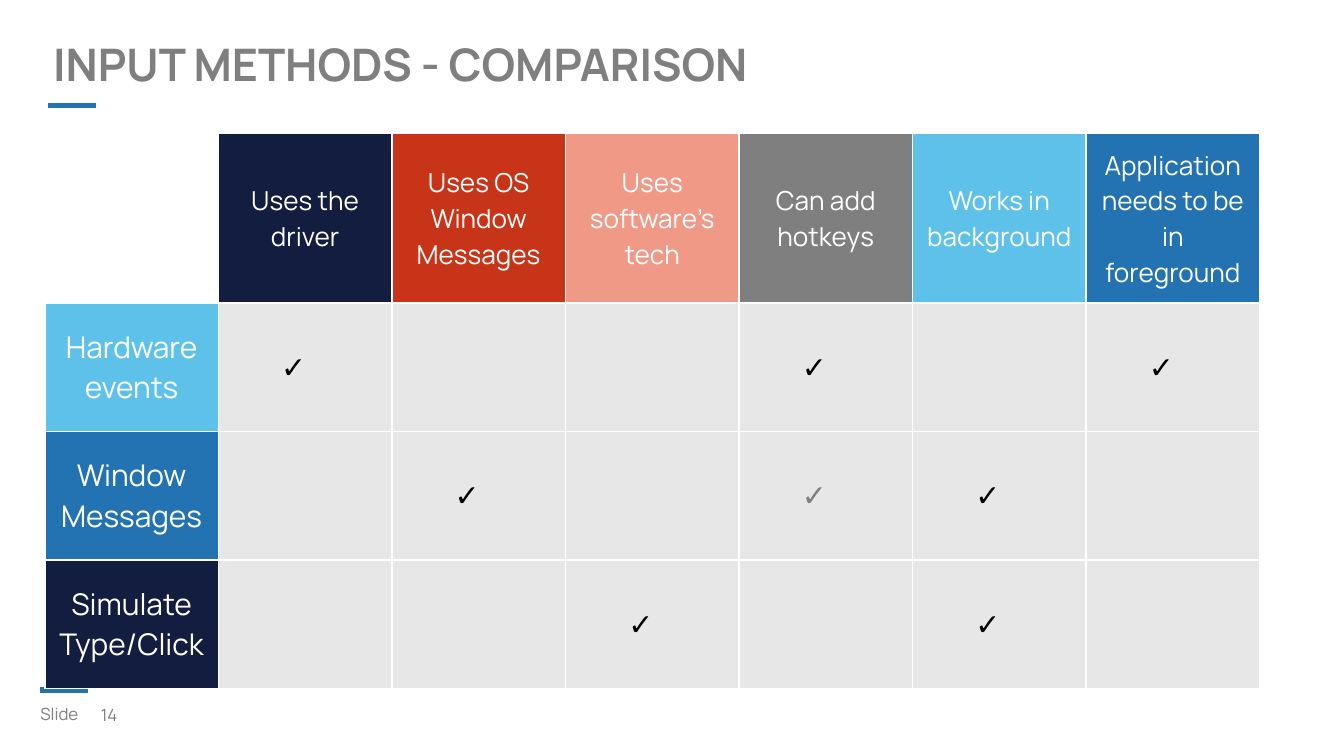
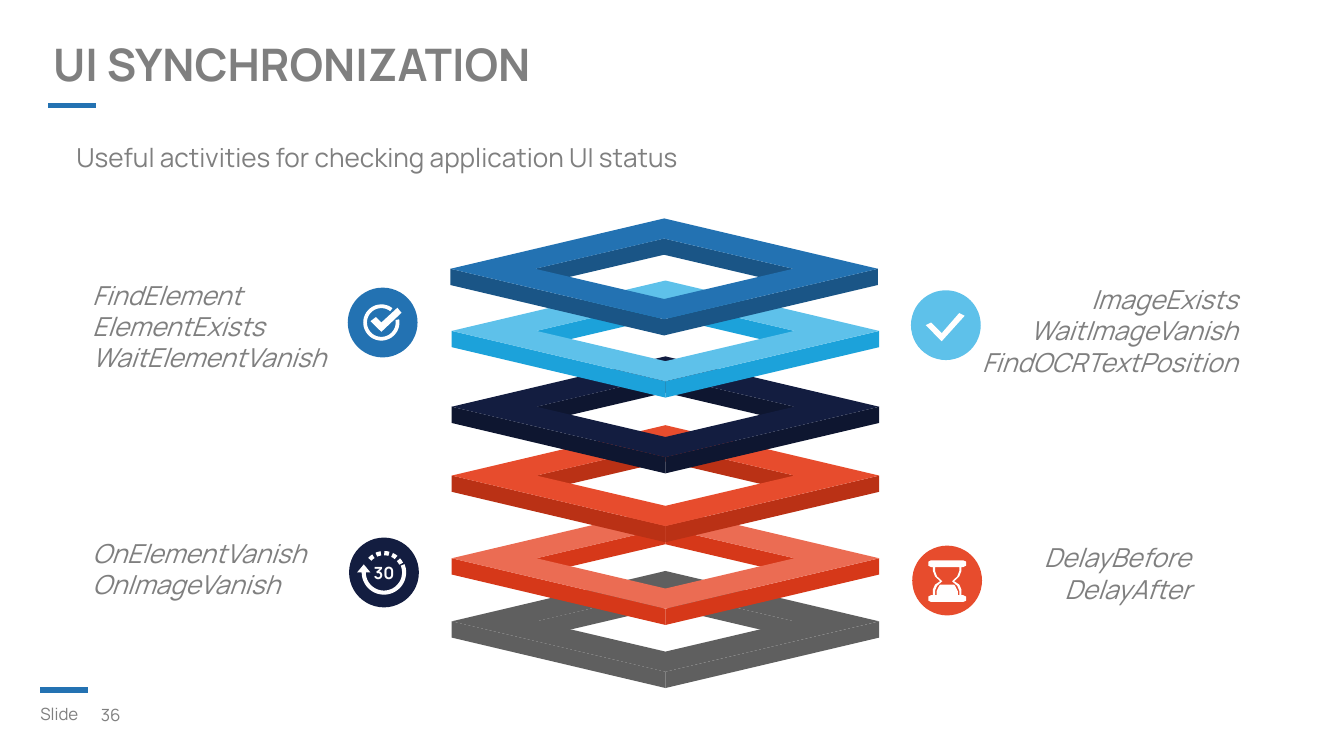
"""Build two slides: an input method table and a UI synchronization diagram."""
from math import cos, radians, sin

from lxml import etree
from pptx import Presentation
from pptx.dml.color import RGBColor
from pptx.enum.shapes import MSO_CONNECTOR, MSO_SHAPE
from pptx.enum.text import MSO_ANCHOR, PP_ALIGN
from pptx.oxml.ns import qn
from pptx.util import Pt

LEFT, CENTER, RIGHT = PP_ALIGN.LEFT, PP_ALIGN.CENTER, PP_ALIGN.RIGHT
TOP, MIDDLE = MSO_ANCHOR.TOP, MSO_ANCHOR.MIDDLE
STRAIGHT, OVAL = MSO_CONNECTOR.STRAIGHT, MSO_SHAPE.OVAL

COLORS = {
    "white": "FFFFFF", "icon": "FFFEFE", "black": "000000", "gray": "7F7F7F",
    "cell": "E7E7E7", "blue": "2372B2", "blue_dark": "1A5586",
    "sky": "5EC1EA", "sky_dark": "1CA2DA", "navy": "131D40", "navy_dark": "0E1630",
    "red": "C73417", "salmon": "F19987", "orange": "E74C2D", "orange_dark": "BA3115",
    "coral": "EB6C53", "coral_dark": "D63819", "stone": "5F5F5F",
}
FONT = "Manrope"
TITLE = {"size": Pt(24), "bold": True}
FOOTER = {"size": Pt(9)}
BODY = {"size": Pt(14)}
ACTIVITY = {"size": Pt(14), "italic": True}
ROW_HEAD = {"size": Pt(16)}
BADGE = {"size": Pt(9), "bold": True}

HEADERS = [
    (["Uses the driver"], "navy"),
    (["Uses OS Window", "Messages"], "red"),
    (["Uses software’s tech"], "salmon"),
    (["Can add hotkeys"], "gray"),
    (["Works in background"], "sky"),
    (["Application needs to be in foreground"], "blue"),
]
METHODS = [
    ("Hardware events", "sky", {1: "black", 4: "black", 6: "black"}),
    ("Window Messages", "blue", {2: "black", 4: "gray", 5: "black"}),
    ("Simulate Type/Click", "navy", {3: "black", 5: "black"}),
]
LAYERS = [
    (356.5, 332.9, "stone", "stone"),
    (356.5, 299.1, "coral", "coral_dark"),
    (356.5, 254.8, "orange", "orange_dark"),
    (356.5, 217.9, "navy", "navy_dark"),
    (356.5, 177.3, "sky", "sky_dark"),
    (355.8, 144, "blue", "blue_dark"),
]
CIRCLE_SIZE = 37.4
TARGET_TICK = [(10.1, -5.2), (-0.7, 5), (-6.5, -0.7), (-3.6, -2.9), (-0.7, 0), (7.9, -7.9)]
TICK = [(10.1, -5), (7.2, -6.5), (-2.2, 4.3), (-7.9, -1.4), (-10.8, 0), (-2.2, 8.6)]
ARROWHEAD = [(-14.4, 0), (-10.8, -4.3), (-7.2, 0)]
GLASS_OUTER = [
    (8.6, -10.8), (10.1, -10.1), (10.1, -7.9), (8.6, -7.2), (7.6, -7.2), (7.6, -5),
    (6.5, -2.2), (3.8, 0.4), (6.5, 2.2), (7.6, 4.7), (7.6, 7.9), (8.6, 7.9),
    (10.1, 8.6), (10.1, 10.8), (8.6, 11.5),
]
GLASS_INNER = [
    (6.5, -7.2), (6.5, -5), (5.4, -2.2), (2.6, 0.4), (5.4, 2.9), (6.5, 5.4),
    (6.5, 7.9), (5.7, 7.9), (5.7, 5.8), (4.3, 2.9), (3.6, 2.2),
]


def rgb(name):
    """Return the named colour."""
    return RGBColor.from_string(COLORS[name])


def set_attrs(target, values):
    """Set each named attribute on the target."""
    for name, value in values.items():
        setattr(target, name, value)


def set_frame(tf, inset=(7.2, 7.2), anchor=TOP, wrap=True):
    """Set the insets, anchor and wrap of a text frame or cell."""
    x, y = (Pt(value) for value in inset)
    set_attrs(tf, {"margin_left": x, "margin_right": x, "margin_top": y,
                   "margin_bottom": y, "vertical_anchor": anchor, "word_wrap": wrap})


def write(tf, lines, fmt, color="gray", align=LEFT, spacing=1.0):
    """Fill a text frame with one paragraph a line."""
    for i, line in enumerate(lines):
        p = tf.paragraphs[0] if i == 0 else tf.add_paragraph()
        set_attrs(p, {"alignment": align, "line_spacing": spacing})
        r = p.add_run()
        r.text = line
        set_attrs(r.font, {"name": FONT, **fmt})
        r.font.color.rgb = rgb(color)


def indent(paragraphs, margin=8.64):
    """Indent the paragraphs from the left."""
    for p in paragraphs:
        p._p.get_or_add_pPr().set("marL", str(Pt(margin)))


def add_text(s, box, lines, fmt, inset=(7.2, 3.6), anchor=TOP, **style):
    """Add a text box and return its text frame."""
    tf = s.shapes.add_textbox(*map(Pt, box)).text_frame
    set_frame(tf, inset, anchor)
    write(tf, lines, fmt, **style)
    return tf


def add_accent(s, x, y):
    """Add a short blue line."""
    line = s.shapes.add_connector(STRAIGHT, Pt(x), Pt(y), Pt(x + 25.6), Pt(y))
    line.line.color.rgb = rgb("blue")
    line.line.width = Pt(3)
    etree.SubElement(line._element.spPr, qn("a:effectLst"))


def add_slide(prs, title, number):
    """Add a slide with its title, accents and footer."""
    s = prs.slides.add_slide(prs.slide_layouts[5])
    add_accent(s, 21.6, 369.7)
    add_accent(s, 25.9, 56.6)
    add_text(s, (47, 373, 38.2, 19.4), [str(number)], FOOTER, anchor=MIDDLE)
    add_text(s, (16.6, 374.1, 32.4, 16.6), ["Slide"], FOOTER, inset=(5, 2.9))
    sp = s.shapes.title
    set_attrs(sp, {"left": Pt(21.3), "top": Pt(19.4), "width": Pt(560.2), "height": Pt(29.5)})
    set_frame(sp.text_frame)
    write(sp.text_frame, [title], TITLE, spacing=0.75)
    return s


def paint(sp, color):
    """Give a shape a flat fill without line or shadow."""
    sp.shadow.inherit = False
    sp.fill.solid()
    sp.fill.fore_color.rgb = rgb(color)
    sp.line.fill.background()


def add_outline(shapes, contours, color, origin=(0, 0)):
    """Add one filled outline made of closed contours."""
    contours = [[(Pt(x + origin[0]), Pt(y + origin[1])) for x, y in c] for c in contours]
    builder = shapes.build_freeform(*contours[0][0])
    for i, contour in enumerate(contours):
        if i:
            builder.move_to(*contour[0])
        builder.add_line_segments(contour[1:], close=True)
    paint(builder.convert_to_shape(), color)


def arc_band(start, end, outer, inner, steps=40, dx=0):
    """Return the contour of a ring sector, angles in degrees."""
    angles = [radians(start + (end - start) * i / steps) for i in range(steps + 1)]
    return ([(dx + outer * cos(a), outer * sin(a)) for a in angles]
            + [(dx + inner * cos(a), inner * sin(a)) for a in reversed(angles)])


def mirrored(half):
    """Close a right-hand half outline with its left-hand mirror."""
    return half + [(-x, y) for x, y in reversed(half)]


def add_layer(s, cx, cy, top, side):
    """Add one square frame of the stack."""
    wide, narrow, deep, shallow, thick = 114.5, 69.1, 27, 16.2, 8.7

    def wall(x1, y1, x2, y2):
        return [(x1, y1), (x1, y1 + thick), (x2, y2 + thick), (x2, y2)]

    def diamond(w, h):
        return [(0, -h), (w, 0), (0, h), (-w, 0)]

    faces = [
        ([wall(0, -shallow, -narrow, 0)], side),
        ([wall(narrow, 0, 0, -shallow), wall(-wide, 0, 0, deep)], side),
        ([wall(wide, 0, 0, deep)], side),
        ([diamond(wide, deep), diamond(narrow, shallow)[::-1]], top),
    ]
    shapes = s.shapes.add_group_shape().shapes
    for contours, color in faces:
        add_outline(shapes, contours, color, (cx, cy))


def add_icon(s, cx, cy, color, contours, label=None):
    """Add a round badge with a white symbol."""
    half = CIRCLE_SIZE / 2
    sp = s.shapes.add_shape(OVAL, Pt(cx - half), Pt(cy - half), Pt(CIRCLE_SIZE), Pt(CIRCLE_SIZE))
    paint(sp, color)
    if label:
        set_frame(sp.text_frame, (0, 0), MIDDLE, wrap=False)
        write(sp.text_frame, [label], BADGE, "icon", CENTER)
    add_outline(s.shapes, contours, "icon", (cx, cy))


def format_cell(cell, fill, lines=(), fmt=BODY, color="white", anchor=MIDDLE):
    """Border, fill and write one table cell."""
    tc_pr = cell._tc.get_or_add_tcPr()
    for side in "LRTB":
        ln = etree.SubElement(tc_pr, qn(f"a:ln{side}"), w=str(Pt(1)))
        solid = etree.SubElement(ln, qn("a:solidFill"))
        etree.SubElement(solid, qn("a:srgbClr"), val=COLORS["white"])
    cell.fill.solid()
    cell.fill.fore_color.rgb = rgb(fill)
    set_frame(cell, anchor=anchor)
    write(cell.text_frame, lines, fmt, color, CENTER)


def add_check(cell, color):
    """Mark a cell with a check bullet."""
    p = cell.text_frame.paragraphs[0]
    p_pr = p._p.get_or_add_pPr()
    set_values = {"marL": Pt(22.5), "indent": -Pt(22.5)}
    for name, value in set_values.items():
        p_pr.set(name, str(value))
    bullet_color = etree.SubElement(p_pr, qn("a:buClr"))
    etree.SubElement(bullet_color, qn("a:srgbClr"), val=COLORS[color])
    etree.SubElement(p_pr, qn("a:buFont"), typeface=FONT)
    etree.SubElement(p_pr, qn("a:buChar"), char="✓")
    write(cell.text_frame, [" "], ROW_HEAD, color, CENTER)


def add_method_table(s):
    """Add the table that compares input methods."""
    frame = s.shapes.add_table(4, 7, Pt(24), Pt(71.6), Pt(651), Pt(297.3))
    table = frame.table
    set_attrs(table, {"first_row": False, "horz_banding": False})
    for column in table.columns:
        column.width = Pt(93)
    for row, height in zip(table.rows, (90.6, 68.9, 68.9, 68.9)):
        row.height = Pt(height)
    format_cell(table.cell(0, 0), "white")
    for col, (lines, fill) in enumerate(HEADERS, 1):
        anchor = TOP if col == len(HEADERS) else MIDDLE
        format_cell(table.cell(0, col), fill, lines, anchor=anchor)
    for row, (method, fill, marks) in enumerate(METHODS, 1):
        format_cell(table.cell(row, 0), fill, [method], ROW_HEAD)
        for col in range(1, 7):
            format_cell(table.cell(row, col), "cell")
        for col, color in marks.items():
            add_check(table.cell(row, col), color)


def build_comparison(prs):
    """Build the input method slide."""
    add_method_table(add_slide(prs, "INPUT METHODS - COMPARISON", 14))


def build_synchronization(prs):
    """Build the UI synchronization slide."""
    s = add_slide(prs, "UI SYNCHRONIZATION", 36)
    tf = add_text(s, (33.8, 68.4, 365.8, 291.6),
                  ["Useful activities for checking application UI status",
                   "FindElement", "ElementExists", "WaitElementVanish",
                   "OnElementVanish", "OnImageVanish"],
                  ACTIVITY, inset=(7.2, 7.2))
    intro, *activities = tf.paragraphs
    intro.runs[0].font.italic = False
    indent(activities)
    activities[0].space_before = Pt(57)
    activities[3].space_before = Pt(88)

    for layer in LAYERS:
        add_layer(s, *layer)

    for box, lines in [
        ((499.7, 148.3, 170.6, 58.3), ["ImageExists", "WaitImageVanish", "FindOCRTextPosition"]),
        ((524.9, 286.6, 120.2, 41), ["DelayBefore", "DelayAfter"]),
    ]:
        tf = add_text(s, box, lines, ACTIVITY, align=RIGHT)
        indent(tf.paragraphs)

    dashes = [arc_band(a, a + 14, 11.5, 9.2, 4) for a in range(-137, -30, 24)]
    timer = [arc_band(-22, 180, 11.9, 9.7), ARROWHEAD, *dashes]
    add_icon(s, 205, 172.8, "blue", [arc_band(-10, 308, 9.7, 7.7, dx=-0.7), TARGET_TICK])
    add_icon(s, 205.7, 306.7, "navy", timer, "30")
    add_icon(s, 506.7, 174.2, "sky", [TICK])
    add_icon(s, 507.4, 311, "orange", [mirrored(GLASS_OUTER), mirrored(GLASS_INNER)[::-1]])


def main():
    """Build and save the presentation."""
    prs = Presentation()
    prs.slide_width, prs.slide_height = Pt(720), Pt(405)
    build_comparison(prs)
    build_synchronization(prs)
    prs.save("out.pptx")


if __name__ == "__main__":
    main()
